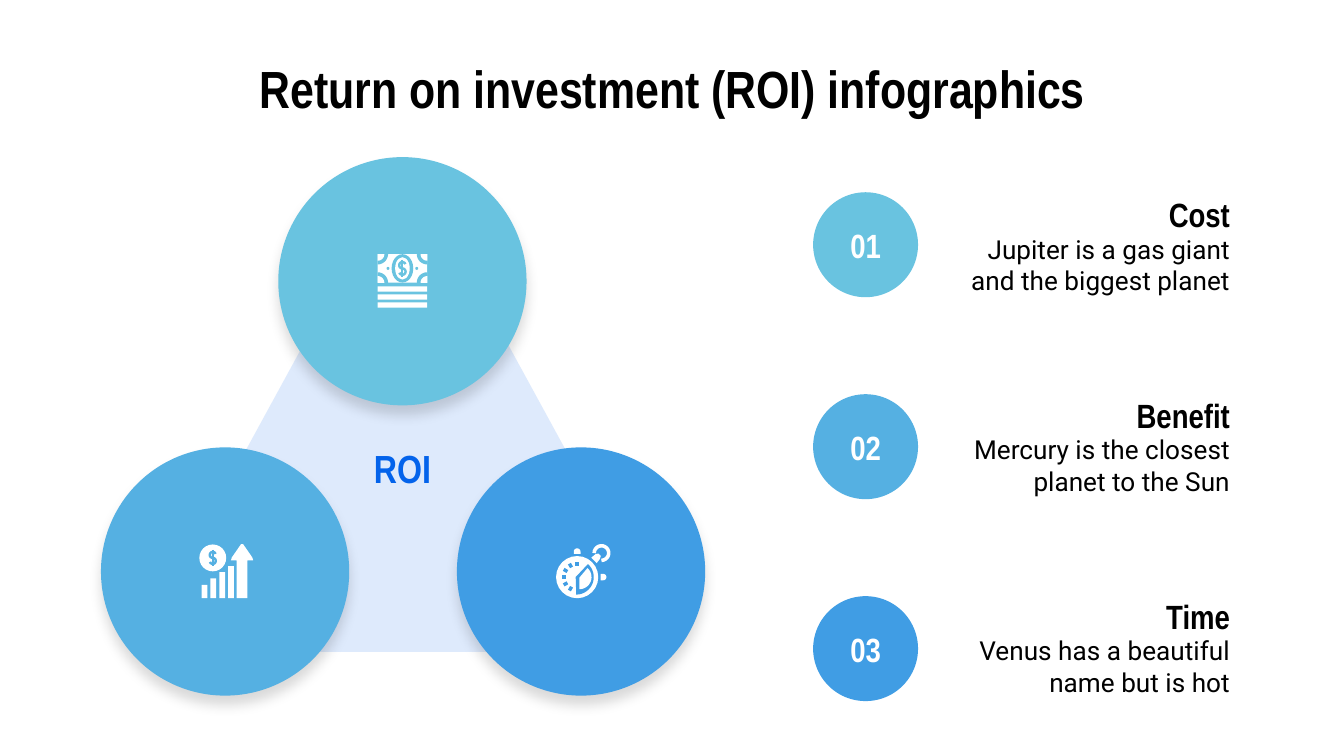
from dataclasses import dataclass
from math import cos, radians, sin

from lxml.etree import SubElement
from pptx import Presentation
from pptx.dml.color import RGBColor
from pptx.enum.shapes import MSO_SHAPE as Preset
from pptx.enum.text import MSO_ANCHOR as Anchor, MSO_AUTO_SIZE as AutoSize, PP_ALIGN as Align
from pptx.oxml.ns import qn
from pptx.util import Pt

HEADING, BODY = "Arial Narrow", "Roboto"
WHITE, BLACK, ACCENT = "FFFFFF", "000000", "0363EB"
DISC, BADGE = 133, 56.2
Points = list[tuple[float, float]]


@dataclass
class Factor:
    number: str
    name: str
    detail: str
    color: str
    disc_x: float  # centre of the large disc
    disc_y: float


FACTORS = [
    Factor("01", "Cost", "Jupiter is a gas giant and the biggest planet", "69C3E0", 215.6, 150.7),
    Factor("02", "Benefit", "Mercury is the closest planet to the Sun", "55B0E2", 120.6, 306.2),
    Factor("03", "Time", "Venus has a beautiful name but is hot", "409DE4", 311.3, 306.2),
]

deck = Presentation()
deck.slide_width, deck.slide_height = Pt(720), Pt(405)
slide = deck.slides.add_slide(deck.slide_layouts[5])
shapes = slide.shapes


def paint(target, color: str) -> None:
    """Give a fill or a font a solid colour."""
    if hasattr(target, "solid"):
        target.solid()
        target.fore_color.rgb = RGBColor.from_string(color)
    else:
        target.color.rgb = RGBColor.from_string(color)


def preset(kind, x: float, y: float, w: float, h: float, color: str):
    shape = shapes.add_shape(kind, Pt(x), Pt(y), Pt(w), Pt(h))
    shape.shadow.inherit = False
    paint(shape.fill, color)
    shape.line.fill.background()
    return shape


def oval(x: float, y: float, rx: float, ry: float, color: str):
    """An ellipse around the centre x, y."""
    return preset(Preset.OVAL, x - rx, y - ry, 2 * rx, 2 * ry, color)


def write(shape, text: str, size: float, color: str, align, font: str = HEADING) -> None:
    frame = shape.text_frame
    frame.word_wrap, frame.auto_size = True, AutoSize.NONE
    frame.vertical_anchor = Anchor.MIDDLE
    frame.margin_left = frame.margin_right = frame.margin_top = frame.margin_bottom = Pt(7.2)
    paragraph = frame.paragraphs[0]
    paragraph.alignment = align
    run = paragraph.add_run()
    run.text = text
    run.font.name, run.font.size, run.font.bold = font, Pt(size), font == HEADING
    paint(run.font, color)


def label(x: float, y: float, w: float, h: float, *text) -> None:
    write(shapes.add_textbox(Pt(x), Pt(y), Pt(w), Pt(h)), *text)


def arc(x: float, y: float, r: float, start: int, end: int) -> Points:
    """Points on a circle; angles run clockwise from the right."""
    steps = 16
    angles = [radians(start + (end - start) * i / steps) for i in range(steps + 1)]
    return [(x + r * cos(a), y + r * sin(a)) for a in angles]


def outline(points: Points, closed: bool):
    path = [(Pt(x), Pt(y)) for x, y in points]
    builder = shapes.build_freeform(*path[0])
    builder.add_line_segments(path[1:], close=closed)
    shape = builder.convert_to_shape()
    shape.shadow.inherit = False
    return shape


def polygon(points: Points, color: str) -> None:
    shape = outline(points, True)
    paint(shape.fill, color)
    shape.line.fill.background()


def stroke(points: Points, width: float, color: str) -> None:
    shape = outline(points, False)
    shape.fill.background()
    paint(shape.line.fill, color)
    shape.line.width = Pt(width)


def dollar(x: float, y: float, r: float, color: str) -> None:
    stroke(arc(x, y - r, r, -20, -270) + arc(x, y + r, r, -90, 160), 1.3, color)
    stroke([(x, y - 2.7 * r), (x, y + 2.7 * r)], 1.1, color)


def banknotes(x: float, y: float, color: str) -> None:
    half, top, height = 13.3, y - 14.6, 15.4
    middle = top + height / 2
    preset(Preset.RECTANGLE, x - half, top, 2 * half, height, WHITE)
    corners = [(x - half, top, 0), (x + half, top, 90),
               (x + half, top + height, 180), (x - half, top + height, 270)]
    for cx, cy, start in corners:
        for radius, tone in ((5.6, color), (3.6, WHITE)):
            polygon([(cx, cy)] + arc(cx, cy, radius, start, start + 90), tone)
    oval(x, middle, 5.8, 7.6, color)
    oval(x, middle, 3.9, 6, WHITE)
    for side in (-1, 1):
        oval(x + side * 7.7, middle, 0.8, 0.8, color)
    dollar(x, middle, 1.7, color)
    for i in range(3):
        preset(Preset.RECTANGLE, x - half, y + 2.7 + 4.3 * i, 2 * half, 2.9, WHITE)


def growth(x: float, y: float, color: str) -> None:
    bottom = y + 14.3
    for i in range(4):
        height = 7.2 + 3.35 * i
        preset(Preset.RECTANGLE, x - 12.6 + 4.75 * i, bottom - height, 3.1, height, WHITE)
    tip, neck = x + 9.1, y - 5.9
    polygon([(tip - 2.9, bottom), (tip - 2.9, neck), (tip - 6, neck), (tip - 5.5, neck - 1.6),
             (tip - 0.6, y - 14.6), (tip + 0.6, y - 14.6), (tip + 5.5, neck - 1.6),
             (tip + 6, neck), (tip + 2.9, neck), (tip + 2.9, bottom)], WHITE)
    oval(x - 6.6, y - 7.3, 7.2, 7.2, WHITE)
    dollar(x - 6.6, y - 7.3, 1.6, color)


def stopwatch(x: float, y: float, color: str) -> None:
    cx, cy = x - 2.1, y + 3
    oval(cx, cy, 11.3, 11.3, WHITE)
    for angle in range(120, 271, 30):
        inner, outer = (arc(cx, cy, r, angle, angle)[0] for r in (6, 8.3))
        stroke([inner, outer], 1.8, color)
    # Elapsed time, crown and side button
    polygon([(cx - 0.8, cy)] + arc(cx - 0.5, cy, 9.4, -48, 90), color)
    polygon([(cx + 1.2, cy + 0.3)] + arc(cx + 1.2, cy, 6.5, -48, 90), WHITE)
    polygon([(cx - 1.8, cy - 12.5)] + arc(cx, cy - 13.6, 1.8, 180, 360) + [(cx + 1.8, cy - 12.5)], WHITE)
    polygon([(x + 10.5, y + 1.3)] + arc(x + 11.9, y + 3, 1.7, -90, 90) + [(x + 10.5, y + 4.7)], WHITE)
    # Push button with its ring
    button = [(5.5, -7.4), (7.8, -9.3), (9.4, -9.6), (10.6, -8.3), (10.1, -6.7), (8.4, -4.5)]
    polygon([(x + dx, y + dy) for dx, dy in button], WHITE)
    stroke(arc(x + 10.9, y - 9.9, 3.9, 180, 450), 1.9, WHITE)


def soft_shadow(shape) -> None:
    effects = shape.fill._xPr.find(qn("a:effectLst"))
    shadow = SubElement(effects, qn("a:outerShdw"), blurRad=str(Pt(6.8)), dist=str(Pt(5.2)),
                        dir="5400000", algn="bl", rotWithShape="0")
    tone = SubElement(shadow, qn("a:srgbClr"), val=BLACK)
    SubElement(tone, qn("a:alpha"), val="15000")


# Title
title = shapes.title
title.left, title.top, title.width, title.height = Pt(36), Pt(32.4), Pt(648), Pt(29.5)
write(title, "Return on investment (ROI) infographics", 28, BLACK, Align.CENTER)

# Triangle joining the three factors
triangle = preset(Preset.ISOSCELES_TRIANGLE, 72.7, 84.2, 289.4, 265, ACCENT)
tint = triangle.fill._xPr.find(qn("a:solidFill"))[0]
SubElement(tint, qn("a:alpha"), val="13000")
label(186.5, 239.8, 58.3, 21.6, "ROI", 21, ACCENT, Align.CENTER)

# Large discs with icons
for factor, icon in zip(FACTORS, (banknotes, growth, stopwatch)):
    soft_shadow(oval(factor.disc_x, factor.disc_y, DISC / 2, DISC / 2, factor.color))
    icon(factor.disc_x, factor.disc_y, factor.color)

# Numbered explanations
for row, factor in enumerate(FACTORS):
    badge = preset(Preset.OVAL, 435.6, 103 + 108.2 * row, BADGE, BADGE, factor.color)
    write(badge, factor.number, 18, WHITE, Align.CENTER)
    top = 103.8 + 107.6 * row
    label(504, top, 162, 21.6, factor.name, 18, BLACK, Align.RIGHT)
    label(504, top + 22, 162, 31.7, factor.detail, 14, BLACK, Align.RIGHT, BODY)

deck.save("out.pptx")
